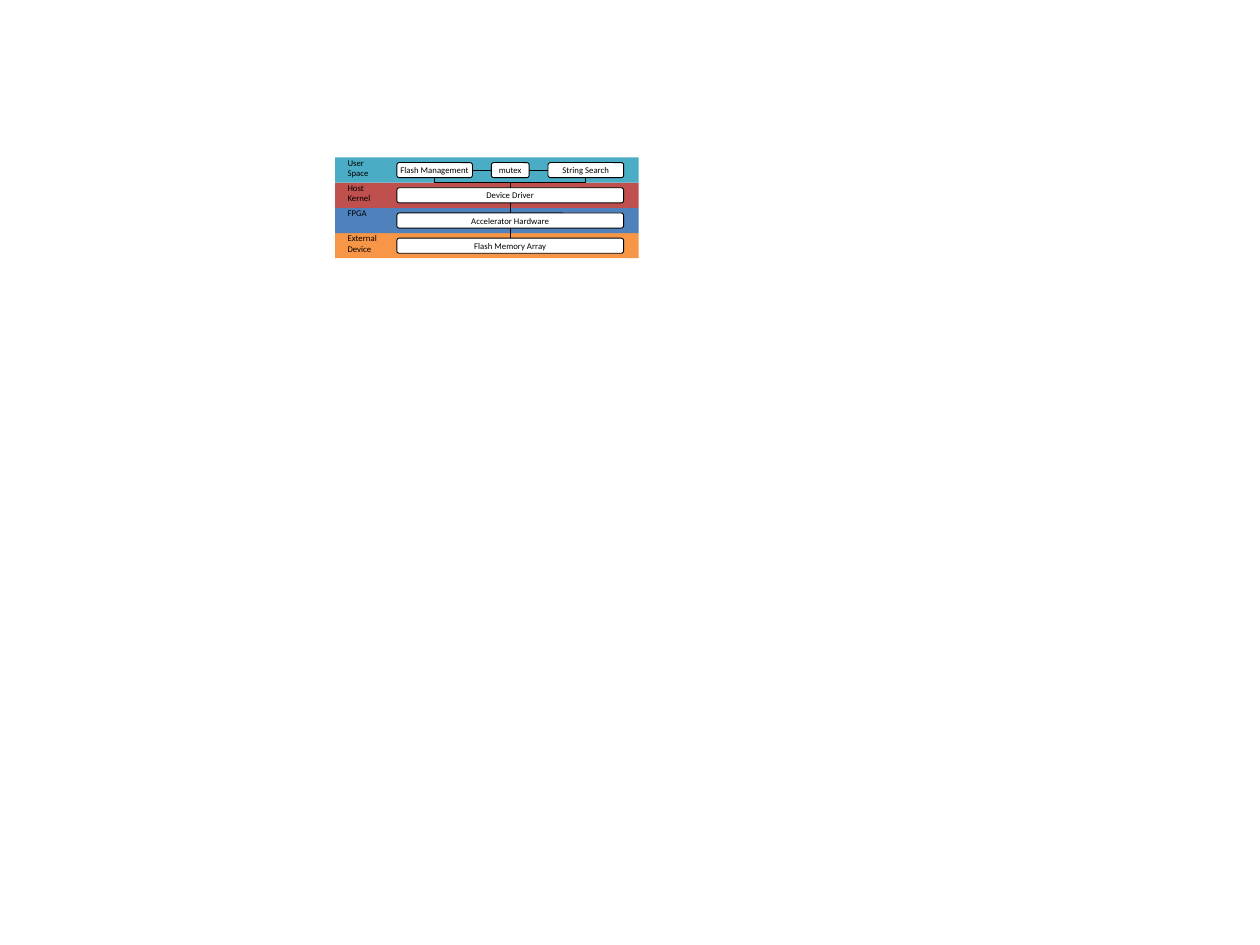
from pptx import Presentation
from pptx.dml.color import RGBColor
from pptx.enum.shapes import MSO_CONNECTOR as Connector, MSO_SHAPE as Shape
from pptx.enum.text import MSO_ANCHOR as Anchor, PP_ALIGN as Align
from pptx.oxml.ns import qn
from pptx.util import Pt
from lxml import etree

COLORS = {
    "user": "4BACC6", "kernel": "C0504D", "fpga": "4F81BD",
    "device": "F79646", "box": "FFFFFF", "ink": "000000",
}
BAND_LEFT, BAND_TOP, BAND_WIDTH, BAND_HEIGHT = 191.5, 90, 173.5, 14.4
BOX_LEFT, BOX_WIDTH, BOX_HEIGHT, BOX_OFFSET = 226.8, 129.6, 8.64, 2.88
CENTER = BOX_LEFT + BOX_WIDTH / 2

presentation = Presentation()
presentation.slide_width, presentation.slide_height = Pt(720), Pt(540)
slide = presentation.slides.add_slide(presentation.slide_layouts[6])


def add_block(kind, left, top, width, height, color, lines, align):
    shape = slide.shapes.add_shape(kind, Pt(left), Pt(top), Pt(width), Pt(height))
    shape.shadow.inherit = False
    shape.fill.solid()
    shape.fill.fore_color.rgb = RGBColor.from_string(COLORS[color])
    frame = shape.text_frame
    frame.word_wrap = True
    for index, line in enumerate(lines):
        paragraph = frame.add_paragraph() if index else frame.paragraphs[0]
        paragraph.alignment = align
        run = paragraph.add_run()
        run.text = line
        run.font.name, run.font.size = "Calibri", Pt(5)
        run.font.color.rgb = RGBColor.from_string(COLORS["ink"])
    return shape


def add_line(kind, x1, y1, x2, y2):
    line = slide.shapes.add_connector(kind, Pt(x1), Pt(y1), Pt(x2), Pt(y2))
    line.line.color.rgb = RGBColor.from_string(COLORS["ink"])
    line.line.width = Pt(0.5)
    properties = line._element.spPr
    etree.SubElement(properties, qn("a:effectLst"))
    return properties


# Layers from bottom to top, each with its boxes as (text, left, width)
layers = [
    ("device", ["External", "Device"], [("Flash Memory Array", BOX_LEFT, BOX_WIDTH)]),
    ("fpga", ["FPGA"], [("Accelerator Hardware", BOX_LEFT, BOX_WIDTH)]),
    ("kernel", ["Host", "Kernel"], [("Device Driver", BOX_LEFT, BOX_WIDTH)]),
    ("user", ["User", "Space"], [("Flash Management", BOX_LEFT, 43.2),
                                 ("String Search", 313.2, 43.2),
                                 ("mutex", 280.8, 21.6)]),
]
for index, (color, label, boxes) in enumerate(layers):
    top = BAND_TOP + (len(layers) - 1 - index) * BAND_HEIGHT
    band = add_block(Shape.RECTANGLE, BAND_LEFT, top, BAND_WIDTH, BAND_HEIGHT,
                     color, label, Align.LEFT)
    band.line.fill.background()
    band.text_frame.vertical_anchor = Anchor.TOP
    band.text_frame.margin_top = band.text_frame.margin_bottom = 0
    for text, left, width in boxes:
        box = add_block(Shape.ROUNDED_RECTANGLE, left, top + BOX_OFFSET, width,
                        BOX_HEIGHT, "box", [text], Align.CENTER)
        box.line.color.rgb = RGBColor.from_string(COLORS["ink"])
        box.line.width = Pt(0.5)
        box.text_frame.vertical_anchor = Anchor.MIDDLE
        box.text_frame.word_wrap = len(boxes) == 1

# Vertical links between the lower layers
gap = BAND_HEIGHT - BOX_HEIGHT
for row in (1, 2):
    bottom = BAND_TOP + row * BAND_HEIGHT + BOX_OFFSET + BOX_HEIGHT
    add_line(Connector.STRAIGHT, CENTER, bottom, CENTER, bottom + gap)

# Links from the mutex to its neighbours
middle = BAND_TOP + BOX_OFFSET + BOX_HEIGHT / 2
for left in (270, 302.4):
    add_line(Connector.STRAIGHT, left, middle, left + 10.8, middle)

# Elbows from the user programs down to the driver, turned to leave vertically
elbow_y = BAND_TOP + BOX_OFFSET + BOX_HEIGHT + gap / 2
reach = 43.2
for side, turn in ((-1, 270), (1, 90)):
    elbow_x = CENTER + side * reach / 2
    properties = add_line(Connector.ELBOW,
                          elbow_x - side * gap / 2, elbow_y - reach / 2,
                          elbow_x + side * gap / 2, elbow_y + reach / 2)
    properties.find(qn("a:xfrm")).set("rot", str(turn * 60000))

presentation.save("out.pptx")
